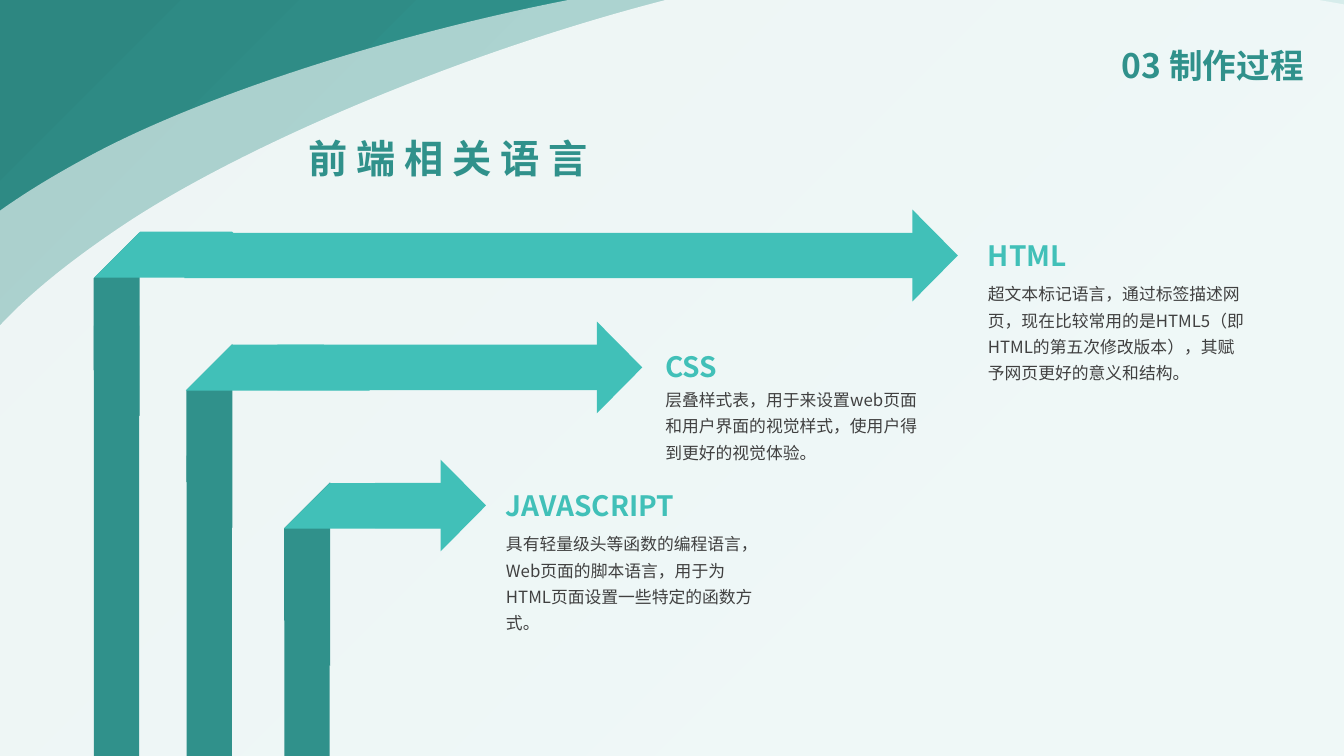
from lxml import etree
from pptx import Presentation
from pptx import util as u
from pptx.dml.color import RGBColor
from pptx.enum import shapes, text
from pptx.oxml.ns import qn

FONT = "Noto Sans CJK SC"
HEX = {"dark": "30918B", "light": "41C0B8", "grey": "404040", "white": "FFFFFF"}
FADE = [(0, "39ACA5"), (23, "39ACA5"), (69, "30918B"), (97, "2D8781")]
KIND = shapes.MSO_SHAPE
FIT = text.MSO_AUTO_SIZE

deck = Presentation()
deck.slide_width, deck.slide_height = u.Inches(13.33), u.Inches(7.5)
slide = deck.slides.add_slide(deck.slide_layouts[2])


def write(words, box, at, size, color, bold=False, wrap=True, line=1.3,
          align=text.PP_ALIGN.LEFT, anchor=text.MSO_ANCHOR.TOP, fit=FIT.SHAPE_TO_FIT_TEXT):
    box.left, box.top, box.width, box.height = map(u.Inches, at)
    frame = box.text_frame
    frame.word_wrap, frame.auto_size, frame.vertical_anchor = wrap, fit, anchor
    para = frame.paragraphs[0]
    para.line_spacing, para.alignment = line, align
    run = para.add_run()
    run.text = words
    font = run.font
    font.size, font.bold = u.Pt(size), bold
    font.color.rgb = RGBColor.from_string(HEX[color])
    font.name = FONT
    etree.SubElement(run._r.rPr, qn("a:ea"), typeface=FONT)
    return para


def paint(shape, color, turn=0, flip=False):
    shape.shadow.inherit = False
    shape.fill.solid()
    shape.fill.fore_color.rgb = RGBColor.from_string(HEX[color])
    shape.line.fill.background()
    shape.rotation = turn
    if flip:
        shape._element.spPr.find(qn("a:xfrm")).set("flipH", "1")
    return shape


# Gradient background
fill = slide.background.fill
fill.gradient()
fill.gradient_angle = 135
stops = slide._element.find(".//" + qn("a:gsLst"))
for stop in list(stops):
    stops.remove(stop)
for pos, code in FADE:
    stop = etree.SubElement(stops, qn("a:gs"), pos=str(pos * 1000))
    etree.SubElement(stop, qn("a:srgbClr"), val=code)

# Two sheer white blobs: one curved outline, shifted and turned the second time
left, top, wide, high = -1.93, -0.34, 20.44, 9.93
start = (-1.35, 3.89)
curves = [
    ((-1.02, 2.97), (-0.61, 2.34), (0.96, 1.51)),
    ((2.52, 0.69), (5.64, -0.2), (8.13, -0.32)),
    ((10.63, -0.44), (14.36, -0.01), (15.92, 0.82)),
    ((17.49, 1.64), (19.27, 4.16), (18.18, 5.46)),
    ((17.08, 6.77), (11.33, 9.31), (8.13, 9.57)),
    ((4.93, 9.83), (0.52, 7.85), (-1.04, 7.02)),
    ((-2.61, 6.2), (-1.68, 4.81), start),
]
for dx, dy, turn, alpha in [(0, 0, 0, 60), (0.55, -0.05, 354.1, 80)]:
    form = slide.shapes.build_freeform(0, 0)
    form.add_line_segments([(u.Inches(wide), u.Inches(high))])
    blob = paint(form.convert_to_shape(), "white", turn)
    blob.left, blob.top = u.Inches(left + dx), u.Inches(top + dy)
    edge = blob._element.spPr.find(".//" + qn("a:path"))
    for step in list(edge):
        edge.remove(step)
    for tag, dots in [("a:moveTo", [start])] + [("a:cubicBezTo", c) for c in curves]:
        step = etree.SubElement(edge, qn(tag))
        for x, y in dots:
            etree.SubElement(step, qn("a:pt"), x=str(u.Inches(x - left)), y=str(u.Inches(y - top)))
    etree.SubElement(edge, qn("a:close"))
    tint = blob._element.spPr.find(".//" + qn("a:srgbClr"))
    etree.SubElement(tint, qn("a:alpha"), val=str(alpha * 1000))

# Headings, raised above the blobs
title, body = slide.placeholders
for box in (title, body):
    slide.shapes._spTree.append(box._element)
write("前 端 相 关 语 言", title, (2.96, 1.14, 3.27, 1.32), 28, "dark", bold=True, fit=FIT.NONE)
head = write("03 制作过程", body, (7.23, 0.28, 5.8, 0.79), 24, "dark", bold=True, line=0.9,
             align=text.PP_ALIGN.RIGHT, anchor=text.MSO_ANCHOR.MIDDLE, fit=FIT.NONE)
head.space_before = u.Pt(10)

# Folded arrows: post x, post top, bar y, tip x, fold (x, y, size, adj), name and note places
rows = [
    (0.93, 3.23, 2.31, 8.82, (1.2, 2.11, 1.29, 0.5), (9.7, 2.22, 1.04), (2.71, 1.15), "HTML",
     "超文本标记语言，通过标签描述网页，现在比较常用的是HTML5（即HTML的第五次修改版本），其赋予网页更好的意义和结构。"),
    (1.85, 4.52, 3.42, 5.69, (2.11, 3.23, 1.29, 0.5), (6.5, 3.32, 0.72), (3.76, 0.89), "CSS",
     "层叠样式表，用于来设置web页面和用户界面的视觉样式，使用户得到更好的视觉体验。"),
    (2.82, 5.95, 4.79, 4.14, (3.06, 4.66, 1.17, 0.453), (4.92, 4.7, 1.9), (5.19, 1.15), "JAVASCRIPT",
     "具有轻量级头等函数的编程语言，Web页面的脚本语言，用于为HTML页面设置一些特定的函数方式。"),
]
band = 0.45
for x, top, y, tip, (fx, fy, size, adj), (tx, ny, nw), (dy, dh), name, note in rows:
    parts = [
        (KIND.DIAGONAL_STRIPE, (x - 0.19, y + 0.26, 1.29, 1.29), "dark", 315, False),
        (KIND.RECTANGLE, (x, top, band, 7.5 - top), "dark", 0, False),
        (KIND.DIAGONAL_STRIPE, (fx, fy, size, size), "light", 315, True),
        (KIND.RECTANGLE, (x + 0.9, y, tip - x - 0.65, band), "light", 0, False),
        (KIND.ISOSCELES_TRIANGLE, (tip, y, 0.91, band), "light", 90, False),
    ]
    for kind, at, color, turn, flip in parts:
        part = paint(slide.shapes.add_shape(kind, *map(u.Inches, at)), color, turn, flip)
        if flip:
            part.adjustments[0] = adj
    write(note, slide.shapes.add_textbox(0, 0, 0, 0), (tx, dy, 2.75, dh), 12, "grey")
    write(name, slide.shapes.add_textbox(0, 0, 0, 0), (tx, ny, nw, 0.54), 20, "light",
          bold=True, wrap=False)

deck.save("out.pptx")
